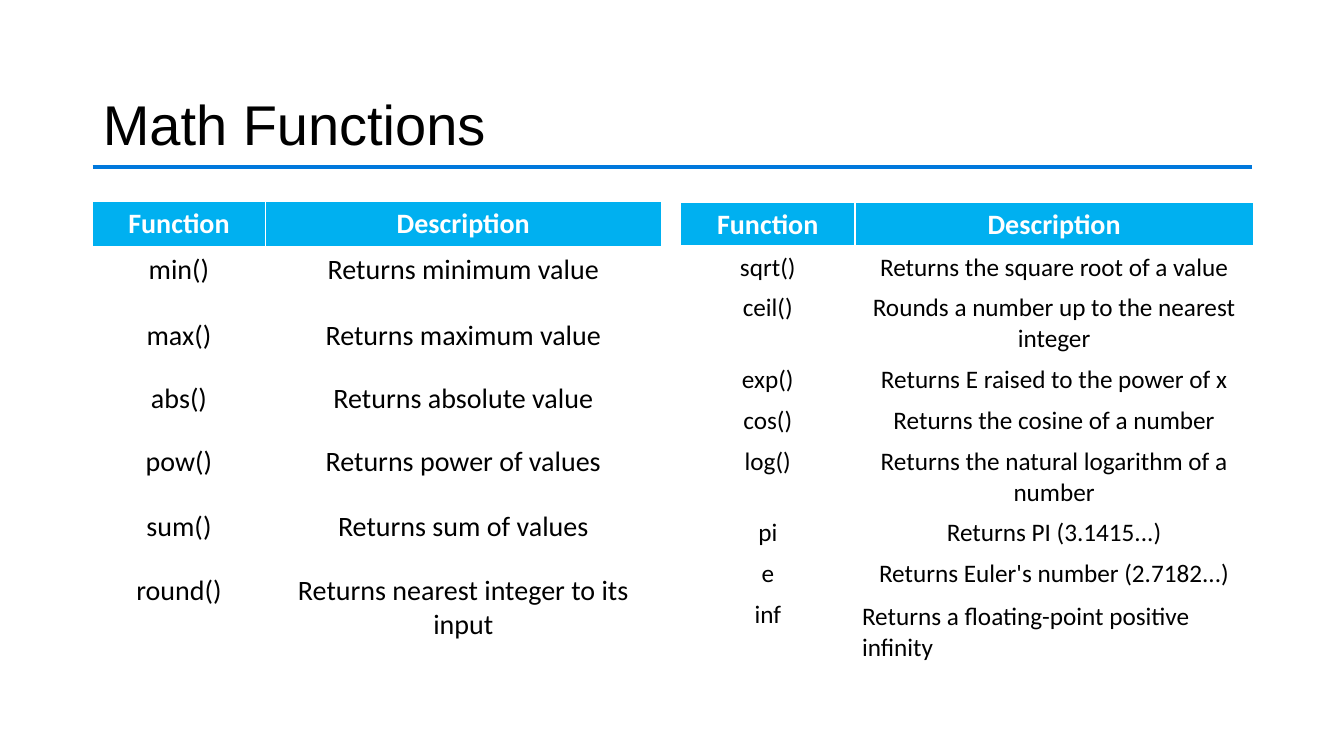
from lxml import etree
from pptx import Presentation
from pptx.dml.color import RGBColor
from pptx.enum.shapes import MSO_CONNECTOR as Connector
from pptx.enum.text import MSO_ANCHOR as Anchor, PP_ALIGN as Align
from pptx.oxml.ns import qn
from pptx.util import Inches, Pt

BLACK = RGBColor(0x00, 0x00, 0x00)
WHITE = RGBColor(0xFF, 0xFF, 0xFF)
HEADER_BLUE = RGBColor(0x00, 0xB0, 0xF0)
RULE_BLUE = RGBColor(0x00, 0x78, 0xDC)

HEADINGS = ("Function", "Description")
BASIC_FUNCTIONS = [
    ("min()", "Returns minimum value"),
    ("max()", "Returns maximum value"),
    ("abs()", "Returns absolute value"),
    ("pow()", "Returns power of values"),
    ("sum()", "Returns sum of values"),
    ("round()", "Returns nearest integer to its input"),
]
MATH_MODULE = [
    ("sqrt()", "Returns the square root of a value"),
    ("ceil()", "Rounds a number up to the nearest integer"),
    ("exp()", "Returns E raised to the power of x"),
    ("cos()", "Returns the cosine of a number"),
    ("log()", "Returns the natural logarithm of a number"),
    ("pi", "Returns PI (3.1415...)"),
    ("e", "Returns Euler's number (2.7182...)"),
    ("inf", "Returns a floating-point positive infinity"),
]


def set_text(tf, text, font="Calibri", size=20, color=BLACK, bold=False,
             align=Align.CENTER, spacing=None):
    p = tf.paragraphs[0]
    p.alignment = align
    p.line_spacing = spacing
    r = p.add_run()
    r.text = text
    r.font.name = font
    r.font.size = Pt(size)
    r.font.bold = bold
    r.font.color.rgb = color


def set_borders(cell, bottom=1):
    """Draw white borders; they must stand before the cell's fill."""
    tc_pr = cell._tc.get_or_add_tcPr()
    widths = {"a:lnL": 1, "a:lnR": 1, "a:lnT": 1, "a:lnB": bottom}
    for i, (tag, width) in enumerate(widths.items()):
        ln = etree.Element(qn(tag), w=str(Pt(width)))
        fill = etree.SubElement(ln, qn("a:solidFill"))
        etree.SubElement(fill, qn("a:srgbClr"), val=str(WHITE))
        tc_pr.insert(i, ln)


def add_title(s, text):
    sp = s.shapes.title
    sp.left, sp.top = Inches(0.92), Inches(0.4)
    sp.width, sp.height = Inches(11.5), Inches(1.21)
    sp.text_frame.vertical_anchor = Anchor.BOTTOM
    set_text(sp.text_frame, text, font="Arial", size=40, align=Align.LEFT,
             spacing=0.9)


def add_rule(s, left, right, y):
    line = s.shapes.add_connector(Connector.STRAIGHT, Inches(left), Inches(y),
                                  Inches(right), Inches(y))
    line.line.color.rgb = RULE_BLUE
    line.line.width = Pt(3)
    etree.SubElement(line._element.spPr, qn("a:effectLst"))


def add_function_table(s, left, top, col_widths, row_heights, functions, size):
    rows = [HEADINGS] + functions
    frame = s.shapes.add_table(len(rows), len(HEADINGS), Inches(left),
                               Inches(top), Inches(sum(col_widths)),
                               Inches(sum(row_heights)))
    table = frame.table
    table.horz_banding = False
    for col, width in zip(table.columns, col_widths):
        col.width = Inches(width)
    for row, height in zip(table.rows, row_heights):
        row.height = Inches(height)
    for i, texts in enumerate(rows):
        header = i == 0
        for j, text in enumerate(texts):
            cell = table.cell(i, j)
            cell.fill.solid()
            cell.fill.fore_color.rgb = HEADER_BLUE if header else WHITE
            set_borders(cell, bottom=3 if header else 1)
            set_text(cell.text_frame, text, size=20 if header else size,
                     color=WHITE if header else BLACK, bold=header)
    return table


def main():
    prs = Presentation()
    prs.slide_width, prs.slide_height = Inches(13.33), Inches(7.5)
    s = prs.slides.add_slide(prs.slide_layouts[5])

    # Title and rule
    add_title(s, "Math Functions")
    add_rule(s, 0.92, 12.42, 1.66)

    # Function tables
    add_function_table(s, 0.92, 2, (1.71, 3.93),
                       (0.46, 0.65, 0.63, 0.62, 0.65, 0.63, 0.79),
                       BASIC_FUNCTIONS, size=20)
    table = add_function_table(
        s, 6.75, 2.01, (1.73, 3.95),
        (0.42, 0.38, 0.67, 0.38, 0.38, 0.67, 0.39, 0.38, 0.71),
        MATH_MODULE, size=18)

    # The last description is left-aligned with even margins
    cell = table.cell(len(MATH_MODULE), 1)
    cell.margin_left = cell.margin_right = Inches(0.07)
    cell.margin_top = cell.margin_bottom = Inches(0.07)
    cell.text_frame.paragraphs[0].alignment = Align.LEFT

    prs.save("out.pptx")


if __name__ == "__main__":
    main()
